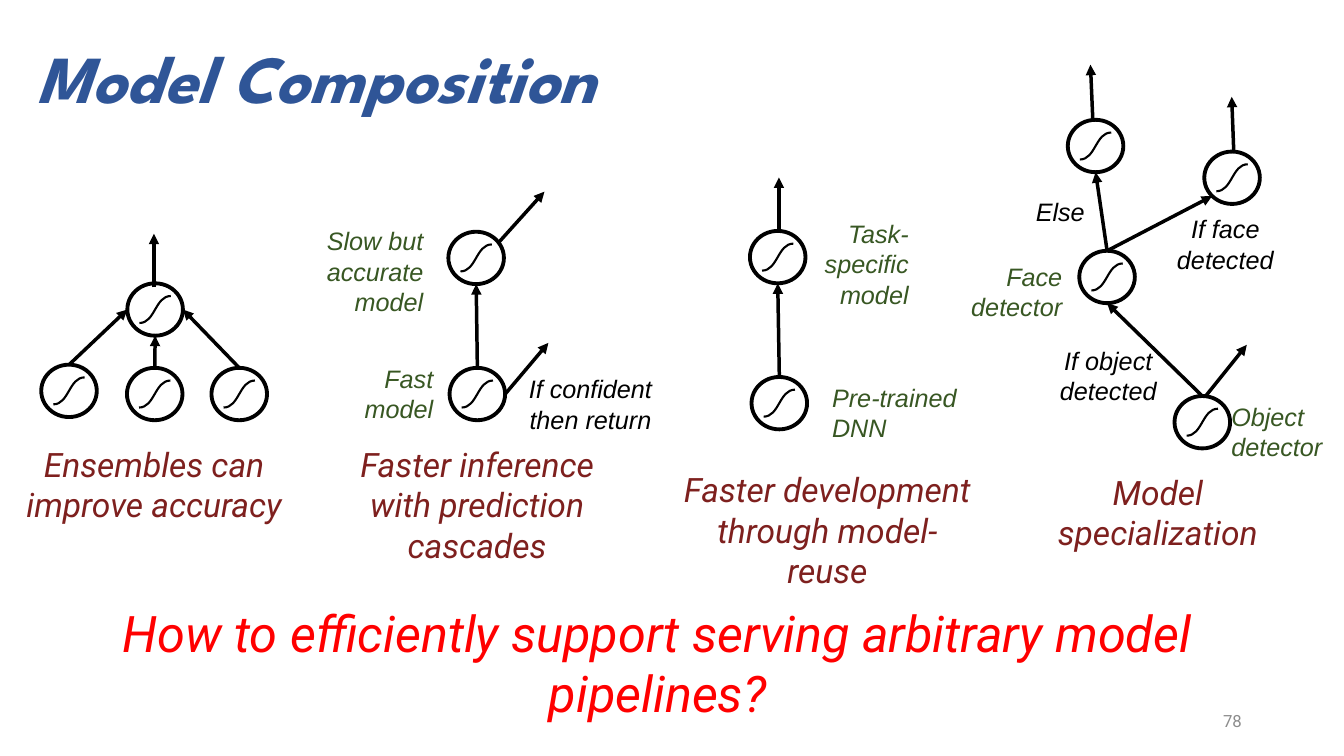
from lxml.etree import SubElement
from pptx import Presentation
from pptx.dml.color import RGBColor
from pptx.enum.shapes import MSO_CONNECTOR, MSO_SHAPE
from pptx.enum.text import MSO_ANCHOR, MSO_AUTO_SIZE, PP_ALIGN
from pptx.oxml.ns import qn
from pptx.util import Cm, Pt

BLACK = RGBColor(0x00, 0x00, 0x00)
BLUE = RGBColor(0x2F, 0x55, 0x97)
GREEN = RGBColor(0x38, 0x57, 0x23)
MAROON = RGBColor(0x7E, 0x20, 0x1E)
RED = RGBColor(0xFF, 0x00, 0x00)
GRAY = RGBColor(0x8C, 0x8C, 0x8C)

LEFT, CENTER, RIGHT = PP_ALIGN.LEFT, PP_ALIGN.CENTER, PP_ALIGN.RIGHT
NODE_W, NODE_H = 1.4, 1.32
CURVE_W, CURVE_H = 0.79, 0.68
# Points on a node as fractions of its width and height
TOP, BOTTOM, WEST, EAST = (0.5, 0), (0.5, 1), (0, 0.5), (1, 0.5)
NORTHEAST, SOUTHWEST = (0.9, 0.21), (0.14, 0.85)


def add_text(parent, text, x, y, w, h, size=18, font="Arial", color=BLACK,
             align=CENTER, bold=False, italic=True, anchor=MSO_ANCHOR.TOP,
             spacing=None, grow=True):
    box = parent.shapes.add_textbox(Cm(x), Cm(y), Cm(w), Cm(h))
    tf = box.text_frame
    tf.word_wrap = True
    tf.auto_size = MSO_AUTO_SIZE.SHAPE_TO_FIT_TEXT if grow else MSO_AUTO_SIZE.NONE
    tf.vertical_anchor = anchor
    p = tf.paragraphs[0]
    p.alignment = align
    if spacing:
        p.line_spacing = spacing
    r = p.add_run()
    r.text = text
    r.font.size = Pt(size)
    r.font.name = font
    r.font.bold = bold
    r.font.italic = italic
    r.font.color.rgb = color


def add_caption(s, text, x, y, w, h):
    add_text(s, text, x, y, w, h, size=24, font="Roboto", color=MAROON)


def outline(shape, width):
    shape.shadow.inherit = False
    shape.fill.background()
    shape.line.color.rgb = BLACK
    shape.line.width = Pt(width)


def add_sigmoid(g, x, y):
    builder = g.shapes.build_freeform(Cm(x), Cm(y + CURVE_H))
    builder.add_line_segments([(Cm(x + CURVE_W), Cm(y))], close=False)
    curve = builder.convert_to_shape()
    # Bend the single segment into a cubic curve with level ends
    segment = next(curve._element.iter(qn("a:lnTo")))
    bend = SubElement(segment.getparent(), qn("a:cubicBezTo"))
    middle = str(curve.width // 2)
    for level in (curve.height, 0):
        SubElement(bend, qn("a:pt"), x=middle, y=str(level))
    bend.append(segment[0])
    segment.getparent().remove(segment)
    outline(curve, 1.5)


def add_node(g, x, y):
    """Draw a circled sigmoid and return its top left corner."""
    circle = g.shapes.add_shape(MSO_SHAPE.OVAL, Cm(x), Cm(y), Cm(NODE_W), Cm(NODE_H))
    outline(circle, 2.75)
    add_sigmoid(g, x + (NODE_W - CURVE_W) / 2, y + (NODE_H - CURVE_H) / 2)
    return x, y


def at(node, side):
    return node[0] + NODE_W * side[0], node[1] + NODE_H * side[1]


def add_arrow(g, start, end):
    c = g.shapes.add_connector(MSO_CONNECTOR.STRAIGHT, *map(Cm, start + end))
    c.line.color.rgb = BLACK
    c.line.width = Pt(2.5)
    SubElement(c.line._get_or_add_ln(), qn("a:tailEnd"), type="triangle")
    SubElement(c._element.spPr, qn("a:effectLst"))


def add_ensemble(s, x, y):
    g = s.shapes.add_group_shape()
    models = [add_node(g, x + dx, y + dy)
              for dx, dy in ((0.71, 3.35), (2.87, 3.43), (5, 3.43))]
    combiner = add_node(g, x + 2.88, y + 1.3)
    for model, side in zip(models, (WEST, BOTTOM, EAST)):
        add_arrow(g, at(model, TOP), at(combiner, side))
    add_caption(s, "Ensembles can improve accuracy", x, y + 5.21, 7.11, 2.31)
    add_arrow(s, (x + 3.55, y + 1.4), (x + 3.55, y + 0.05))


def add_cascade(s, x, y):
    g = s.shapes.add_group_shape()
    slow = add_node(g, x + 3.7, y + 1.04)
    fast = add_node(g, x + 3.73, y + 4.47)
    add_arrow(g, at(fast, TOP), at(slow, BOTTOM))
    add_arrow(g, at(fast, EAST), (x + 6.22, y + 3.84))
    add_arrow(g, at(slow, NORTHEAST), (x + 6.12, y + 0.03))
    add_text(g, "Slow but accurate model", x + 0.09, y + 0.76, 3.23, 2.57,
             color=GREEN, align=RIGHT)
    add_text(g, "Fast model", x + 0.34, y + 4.22, 3.23, 1.8, color=GREEN, align=RIGHT)
    add_text(g, "If confident then return", x + 4.92, y + 4.49, 4.72, 1.8)
    add_caption(s, "Faster inference with prediction cascades",
                x + 0.87, y + 6.26, 7.11, 3.33)


def add_reuse(s, x, y):
    g = s.shapes.add_group_shape()
    task = add_node(g, x + 1.96, y + 1.37)
    pretrained = add_node(g, x + 2, y + 5.05)
    add_arrow(g, at(pretrained, TOP), at(task, BOTTOM))
    add_arrow(g, (x + 2.69, y + 1.38), (x + 2.69, y + 0.02))
    add_text(g, "Task-specific model", x + 2.98, y + 0.93, 3.23, 2.57,
             color=GREEN, align=RIGHT)
    add_text(g, "Pre-trained DNN", x + 3.78, y + 5.05, 3.91, 1.8,
             color=GREEN, align=LEFT)
    add_caption(s, "Faster development through model-reuse", x, y + 7.25, 7.82, 3.33)


def add_specialization(s, x, y):
    g = s.shapes.add_group_shape()
    detector = add_node(g, x + 6.5, y + 8.38)
    face = add_node(g, x + 4.1, y + 4.72)
    recognizer = add_node(g, x + 7.25, y + 2.22)
    fallback = add_node(g, x + 3.81, y + 1.42)
    for start, end in (
        (at(detector, TOP), at(face, BOTTOM)),
        (at(detector, (0.56, 0)), (x + 8.32, y + 7.09)),
        (at(face, TOP), at(recognizer, SOUTHWEST)),
        (at(face, TOP), at(fallback, BOTTOM)),
        (at(recognizer, (0.53, 0)), (x + 7.94, y + 0.84)),
        (at(fallback, (0.45, 0)), (x + 4.38, y + 0.03)),
    ):
        add_arrow(g, start, end)
    for text, dx, dy, h in (("If object detected", 2.47, 6.97, 1.8),
                            ("If face detected", 5.42, 3.66, 1.8),
                            ("Else", 1.26, 3.23, 1.02)):
        add_text(g, text, x + dx, y + dy, 4.72, h)
    add_text(g, "Object detector", x + 7.68, y + 8.38, 3.91, 1.8,
             color=GREEN, align=LEFT)
    add_text(g, "Face detector", x + 0.01, y + 4.85, 3.91, 1.8,
             color=GREEN, align=RIGHT)
    add_caption(s, "Model specialization", x + 2.17, y + 10.17, 7.82, 2.31)


def main():
    prs = Presentation()
    prs.slide_width, prs.slide_height = Cm(33.87), Cm(19.05)
    s = prs.slides.add_slide(prs.slide_layouts[6])
    add_text(s, "Model Composition", 0.66, 0.23, 32.77, 3.68, size=48,
             font="League Spartan", color=BLUE, align=LEFT, bold=True,
             anchor=MSO_ANCHOR.MIDDLE, spacing=0.9, grow=False)
    add_ensemble(s, 0.33, 5.84)
    add_cascade(s, 7.6, 4.8)
    add_reuse(s, 16.94, 4.45)
    add_specialization(s, 23.1, 1.6)
    add_text(s, "How to efficiently support serving arbitrary model pipelines?",
             2.11, 15.04, 28.93, 3.33, size=36, font="Roboto", color=RED)
    add_text(s, "78", 23.93, 17.65, 7.62, 1.02, size=12, font="Roboto", color=GRAY,
             align=RIGHT, italic=False, anchor=MSO_ANCHOR.MIDDLE, grow=False)
    prs.save("out.pptx")


if __name__ == "__main__":
    main()
